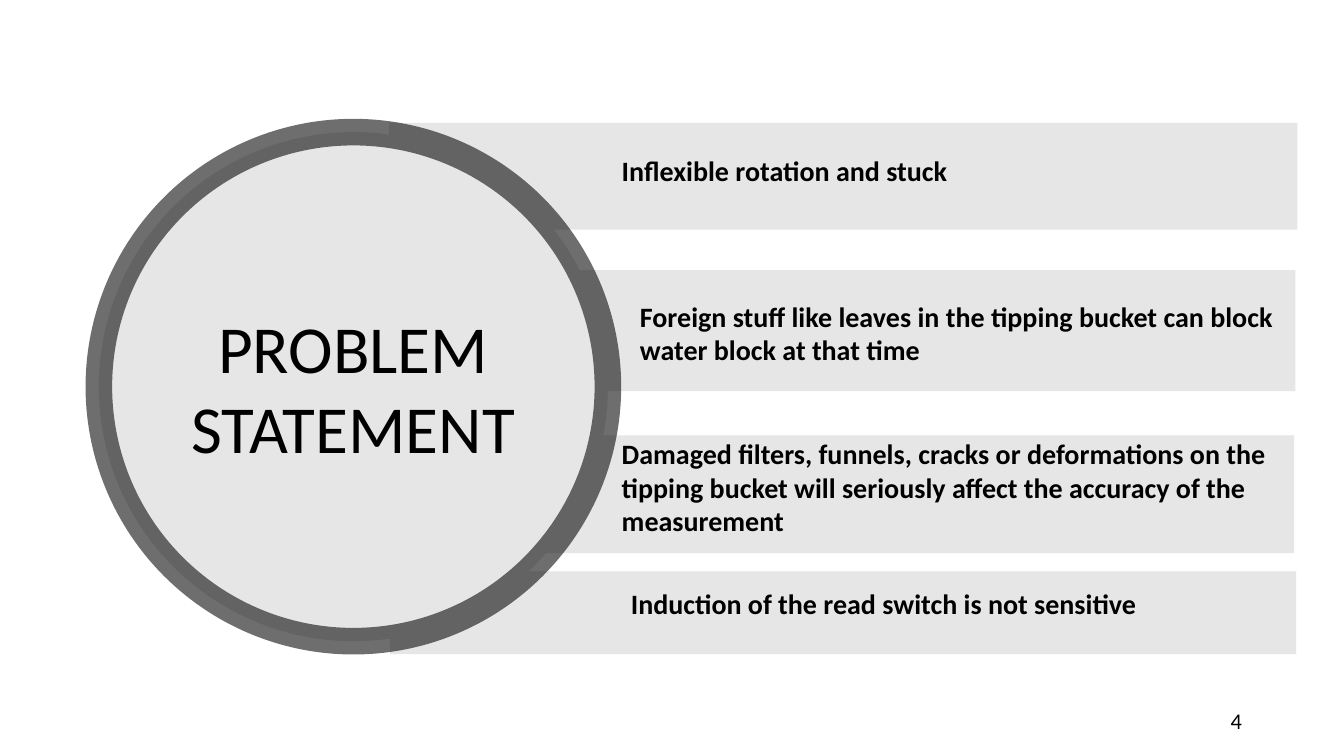
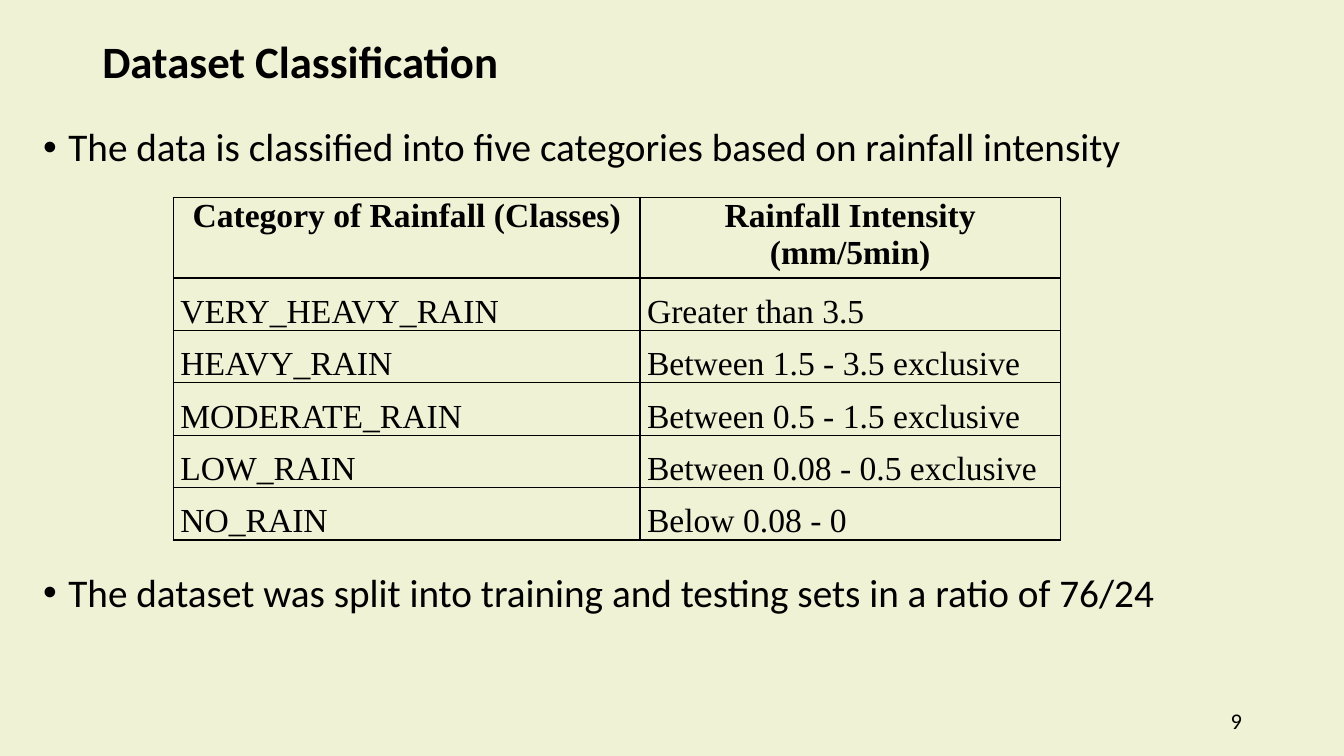
from dataclasses import dataclass

from lxml.etree import SubElement
from pptx import Presentation
from pptx.dml.color import RGBColor
from pptx.enum.shapes import MSO_SHAPE
from pptx.enum.text import MSO_ANCHOR, MSO_AUTO_SIZE, PP_ALIGN
from pptx.oxml import parse_xml
from pptx.oxml.ns import nsdecls, qn
from pptx.util import Pt

BLACK = RGBColor(0x00, 0x00, 0x00)
WHITE = RGBColor(0xFF, 0xFF, 0xFF)
GREY = RGBColor(0xE7, 0xE6, 0xE6)
CREAM = RGBColor(0xF0, 0xF2, 0xD6)
SANS, SERIF = "Calibri", "Times New Roman"


@dataclass(frozen=True)
class Box:
    left: float
    top: float
    width: float
    height: float

    def lengths(self) -> tuple:
        return Pt(self.left), Pt(self.top), Pt(self.width), Pt(self.height)


@dataclass(frozen=True)
class Band:
    bar: Box
    label: Box
    text: str


BANDS = [
    Band(Box(278, 87.8, 648.7, 76.3), Box(437, 105.8, 298, 41),
         "Inflexible rotation and stuck"),
    Band(Box(278, 193, 647.3, 86.4), Box(450, 210.2, 486, 55.4),
         "Foreign stuff like leaves in the tipping bucket can block "
         "water block at that time"),
    Band(Box(278.6, 311, 645.8, 84.2), Box(437, 308.2, 481.7, 114.5),
         "Damaged filters, funnels, cracks or deformations on the tipping "
         "bucket will seriously affect the accuracy of the measurement"),
    Band(Box(278.6, 408.2, 647.3, 59), Box(443.5, 415.4, 430, 31.7),
         "Induction of the read switch is not sensitive"),
]

CLASSES = [
    ("Category of Rainfall (Classes)", "Rainfall Intensity (mm/5min)"),
    ("VERY_HEAVY_RAIN", "Greater than 3.5"),
    ("HEAVY_RAIN", "Between 1.5 - 3.5 exclusive"),
    ("MODERATE_RAIN", "Between 0.5 - 1.5 exclusive"),
    ("LOW_RAIN", "Between 0.08 - 0.5 exclusive"),
    ("NO_RAIN", "Below 0.08 - 0"),
]

POINTS = [
    "The data is classified into five categories based on rainfall intensity",
    "The dataset was split into training and testing sets in a ratio of 76/24",
]


def style(part, size: float, bold: bool = False, face: str = SANS,
          align: PP_ALIGN = PP_ALIGN.LEFT) -> None:
    """Format every paragraph of a text frame."""
    for para in part.paragraphs:
        para.alignment = align
        for run in para.runs:
            font = run.font
            font.name, font.size, font.bold = face, Pt(size), bold
            font.color.rgb = BLACK


def add_text(slide, box: Box, text: str, size: float, bold: bool = False,
             align: PP_ALIGN = PP_ALIGN.LEFT,
             anchor: MSO_ANCHOR = MSO_ANCHOR.TOP):
    frame = slide.shapes.add_textbox(*box.lengths()).text_frame
    frame.word_wrap = True
    frame.vertical_anchor = anchor
    frame.text = text
    style(frame, size, bold, align=align)
    return frame


def add_shape(slide, kind: MSO_SHAPE, box: Box):
    shape = slide.shapes.add_shape(kind, *box.lengths())
    shape.shadow.inherit = False
    shape.fill.solid()
    shape.fill.fore_color.rgb = GREY
    shape.line.fill.background()
    return shape


def set_title(slide, box: Box, text: str, size: float, bold: bool) -> None:
    title = slide.shapes.title
    title.left, title.top, title.width, title.height = box.lengths()
    frame = title.text_frame
    frame.text = text
    frame.word_wrap = True
    frame.auto_size = MSO_AUTO_SIZE.NONE
    frame.vertical_anchor = MSO_ANCHOR.MIDDLE
    style(frame, size, bold, align=PP_ALIGN.CENTER)
    # Bring the title in front of the shapes drawn so far
    slide.shapes._spTree.append(title._element)


def new_slide(deck, back: RGBColor, number: int):
    slide = deck.slides.add_slide(deck.slide_layouts[5])
    slide.background.fill.solid()
    slide.background.fill.fore_color.rgb = back
    add_text(slide, Box(678.2, 500.4, 216, 28.8), str(number), 16,
             align=PP_ALIGN.RIGHT, anchor=MSO_ANCHOR.MIDDLE)
    return slide


def add_border(cell) -> None:
    props = cell._tc.get_or_add_tcPr()
    for place, side in enumerate(("lnL", "lnR", "lnT", "lnB")):
        props.insert(place, parse_xml(
            f'<a:{side} {nsdecls("a")} w="{Pt(1)}"><a:solidFill>'
            f'<a:srgbClr val="{BLACK}"/></a:solidFill></a:{side}>'))


def add_grid(slide, box: Box, cols: list[float], rows: list[float]) -> None:
    table = slide.shapes.add_table(
        len(rows), len(cols), *box.lengths()).table
    table.first_row = table.horz_banding = False
    for col, width in zip(table.columns, cols):
        col.width = Pt(width)
    for r, height in enumerate(rows):
        table.rows[r].height = Pt(height)
        head = r == 0
        for c, text in enumerate(CLASSES[r]):
            cell = table.cell(r, c)
            cell.fill.background()
            add_border(cell)
            cell.margin_left = cell.margin_right = Pt(5)
            cell.margin_top = cell.margin_bottom = Pt(0)
            cell.vertical_anchor = MSO_ANCHOR.TOP if head else MSO_ANCHOR.BOTTOM
            cell.text_frame.text = text
            style(cell.text_frame, 24, head, SERIF,
                  PP_ALIGN.CENTER if head else PP_ALIGN.JUSTIFY)


def add_bullets(slide, box: Box, gap: float) -> None:
    frame = add_text(slide, box, "\n".join(POINTS), 28,
                     align=PP_ALIGN.JUSTIFY)
    for place, para in enumerate(frame.paragraphs):
        props = para._p.get_or_add_pPr()
        props.set("marL", str(Pt(18)))
        props.set("indent", str(-Pt(18)))
        SubElement(props, qn("a:buFont"), typeface="Arial")
        SubElement(props, qn("a:buChar"), char="•")
        para.line_spacing = 0.9
        if place:
            para.space_before = Pt(gap)


def problem(deck) -> None:
    slide = new_slide(deck, WHITE, 4)
    # Bands with their statements
    for band in BANDS:
        add_shape(slide, MSO_SHAPE.RECTANGLE, band.bar)
        add_text(slide, band.label, band.text, 20, True)
    # Circle with a see-through ring
    disc = add_shape(slide, MSO_SHAPE.OVAL, Box(70.6, 94.4, 363.6, 363.6))
    disc.line.width = Pt(19)
    disc.line.color.rgb = BLACK
    tone = disc.line._ln.find(qn("a:solidFill"))[0]
    SubElement(tone, qn("a:alpha"), val="56000")
    set_title(slide, Box(123.8, 147.6, 257.2, 257.2),
              "PROBLEM STATEMENT", 48, False)


def dataset(deck) -> None:
    slide = new_slide(deck, CREAM, 9)
    set_title(slide, Box(34.6, 20.2, 360, 46), "Dataset Classification",
              32, True)
    # Points above and below the table
    add_bullets(slide, Box(23.8, 87.8, 904.3, 386), 288)
    # Rainfall classes
    rows = [53.5] + [37.44] * (len(CLASSES) - 1)
    add_grid(slide, Box(123.8, 141, 633.6, sum(rows)), [333.4, 300.2], rows)


def main() -> None:
    deck = Presentation()
    deck.slide_width, deck.slide_height = Pt(960), Pt(540)
    problem(deck)
    dataset(deck)
    deck.save("out.pptx")


if __name__ == "__main__":
    main()
